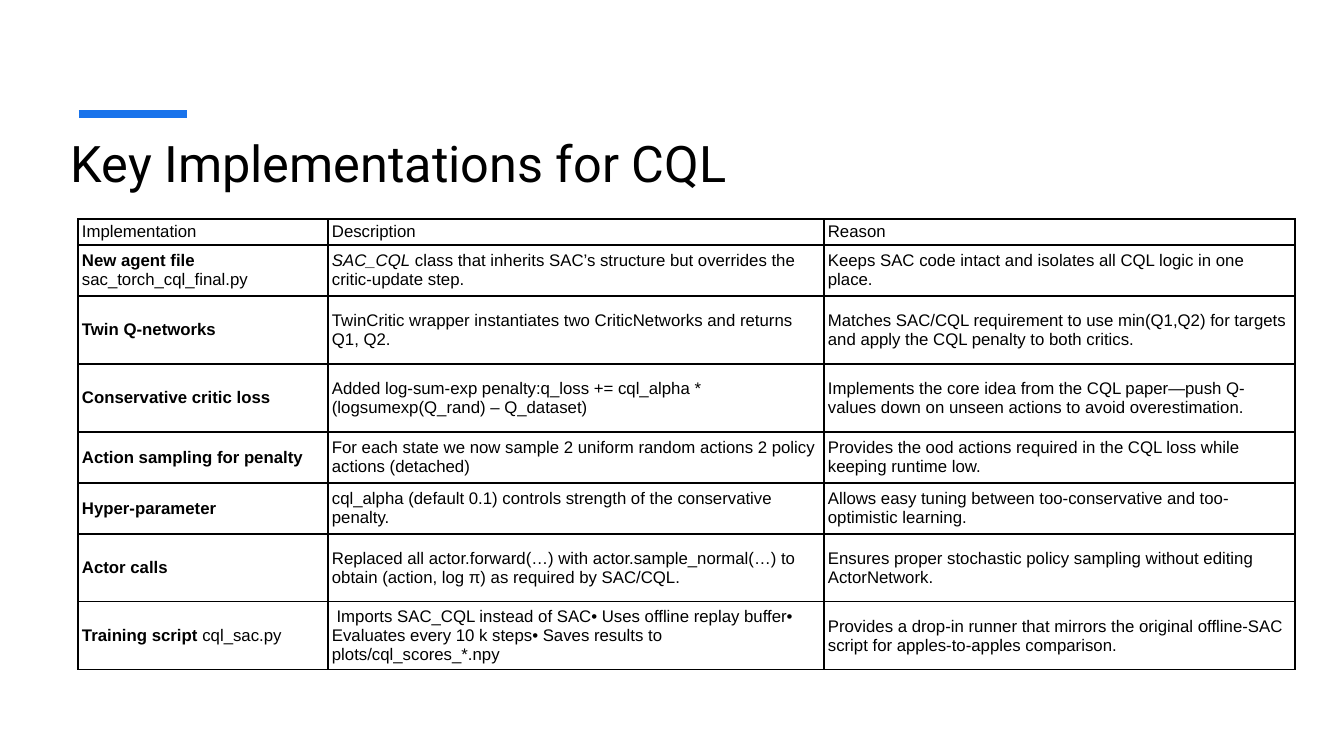
import pptx
import pptx.dml.color
import pptx.enum.shapes
import pptx.enum.text
import pptx.oxml.ns
import pptx.util
from lxml import etree

BLACK = pptx.dml.color.RGBColor(0x00, 0x00, 0x00)
BLUE = pptx.dml.color.RGBColor(0x19, 0x73, 0xEB)

SLIDE_WIDTH, SLIDE_HEIGHT = 1344, 756
EMU_PER_PX = pptx.util.Inches(7.5) / SLIDE_HEIGHT

HEADER, SHORT, TALL = 26, 51, 68
COLUMN_WIDTHS = (250, 496, 471)

# Each row: height, bold label, plain label, italic lead, description, reason
IMPLEMENTATIONS = (
    (HEADER, "", "Implementation", "", "Description", "Reason"),
    (SHORT, "New agent file ", "sac_torch_cql_final.py", "SAC_CQL",
     " class that inherits SAC’s structure but overrides the critic-update step.",
     "Keeps SAC code intact and isolates all CQL logic in one place."),
    (TALL, "Twin Q-networks", "", "",
     "TwinCritic wrapper instantiates two CriticNetworks and returns Q1, Q2.",
     "Matches SAC/CQL requirement to use min(Q1,Q2) for targets and apply the "
     "CQL penalty to both critics."),
    (TALL, "Conservative critic loss", "", "",
     "Added log-sum-exp penalty:q_loss += cql_alpha * (logsumexp(Q_rand) – Q_dataset)",
     "Implements the core idea from the CQL paper—push Q-values down on unseen "
     "actions to avoid overestimation."),
    (SHORT, "Action sampling for penalty", "", "",
     "For each state we now sample 2 uniform random actions 2 policy actions (detached)",
     "Provides the ood actions required in the CQL loss while keeping runtime low."),
    (SHORT, "Hyper-parameter", "", "",
     "cql_alpha (default 0.1) controls strength of the conservative penalty.",
     "Allows easy tuning between too-conservative and too-optimistic learning."),
    (TALL, "Actor calls", "", "",
     "Replaced all actor.forward(…) with actor.sample_normal(…) to obtain "
     "(action, log π) as required by SAC/CQL.",
     "Ensures proper stochastic policy sampling without editing ActorNetwork."),
    (TALL, "Training script ", "cql_sac.py", "",
     " Imports SAC_CQL instead of SAC• Uses offline replay buffer• Evaluates every "
     "10 k steps• Saves results to plots/cql_scores_*.npy",
     "Provides a drop-in runner that mirrors the original offline-SAC script for "
     "apples-to-apples comparison."),
)


def px(length):
    return pptx.util.Emu(round(length * EMU_PER_PX))


class SlideBuilder:
    title_font, title_size = "Roboto", 36
    table_font, table_size = "Arial", 12
    border_width = 1

    def __init__(self, deck):
        self.page = deck.slides.add_slide(deck.slide_layouts[6])

    def accent_line(self, left, right, y, weight):
        line = self.page.shapes.add_connector(
            pptx.enum.shapes.MSO_CONNECTOR.STRAIGHT, px(left), px(y), px(right), px(y))
        line.line.color.rgb = BLUE
        line.line.width = pptx.util.Pt(weight)
        etree.SubElement(line._element.spPr, pptx.oxml.ns.qn("a:effectLst"))

    def title(self, text, left, top, width, height):
        box = self.page.shapes.add_textbox(px(left), px(top), px(width), px(height))
        frame = box.text_frame
        frame.word_wrap = True
        frame.vertical_anchor = pptx.enum.text.MSO_ANCHOR.MIDDLE
        para = frame.paragraphs[0]
        para.text = text
        self.set_font(para, self.title_font, self.title_size)

    def table(self, left, top, widths, rows):
        heights = [row[0] for row in rows]
        table = self.page.shapes.add_table(
            len(rows), len(widths), px(left), px(top),
            px(sum(widths)), px(sum(heights))).table
        table.first_row = table.horz_banding = False
        for column, width in zip(table.columns, widths):
            column.width = px(width)
        for index, (height, bold, plain, italic, description, reason) in enumerate(rows):
            table.rows[index].height = px(height)
            contents = (
                ((bold, True, False), (plain, False, False)),
                ((italic, False, True), (description, False, False)),
                ((reason, False, False),),
            )
            for cell, spans in zip(table.rows[index].cells, contents):
                self.fill_cell(cell, spans)

    def fill_cell(self, cell, spans):
        """Write (text, bold, italic) spans into a bordered, unfilled cell."""
        cell.margin_left = cell.margin_right = px(4)
        cell.margin_top = cell.margin_bottom = px(2)
        cell.vertical_anchor = pptx.enum.text.MSO_ANCHOR.MIDDLE
        self.add_borders(cell)
        cell.fill.background()
        para = cell.text_frame.paragraphs[0]
        self.set_font(para, self.table_font, self.table_size)
        for text, bold, italic in spans:
            if text:
                span = para.add_run()
                span.text = text
                span.font.bold = bold
                span.font.italic = italic

    def add_borders(self, cell):
        properties = cell._tc.get_or_add_tcPr()
        for side in ("a:lnL", "a:lnR", "a:lnT", "a:lnB"):
            border = etree.SubElement(properties, pptx.oxml.ns.qn(side),
                                      w=str(pptx.util.Pt(self.border_width)))
            fill = etree.SubElement(border, pptx.oxml.ns.qn("a:solidFill"))
            etree.SubElement(fill, pptx.oxml.ns.qn("a:srgbClr"), val=str(BLACK))

    def set_font(self, para, name, size):
        para.font.name = name
        para.font.size = pptx.util.Pt(size)
        para.font.color.rgb = BLACK


def main():
    deck = pptx.Presentation()
    deck.slide_width, deck.slide_height = px(SLIDE_WIDTH), px(SLIDE_HEIGHT)
    builder = SlideBuilder(deck)
    builder.accent_line(79, 187, 114, weight=6)
    builder.title("Key Implementations for CQL", 61, 124, 1200, 76)
    builder.table(78, 219, COLUMN_WIDTHS, IMPLEMENTATIONS)
    deck.save("out.pptx")


if __name__ == "__main__":
    main()
